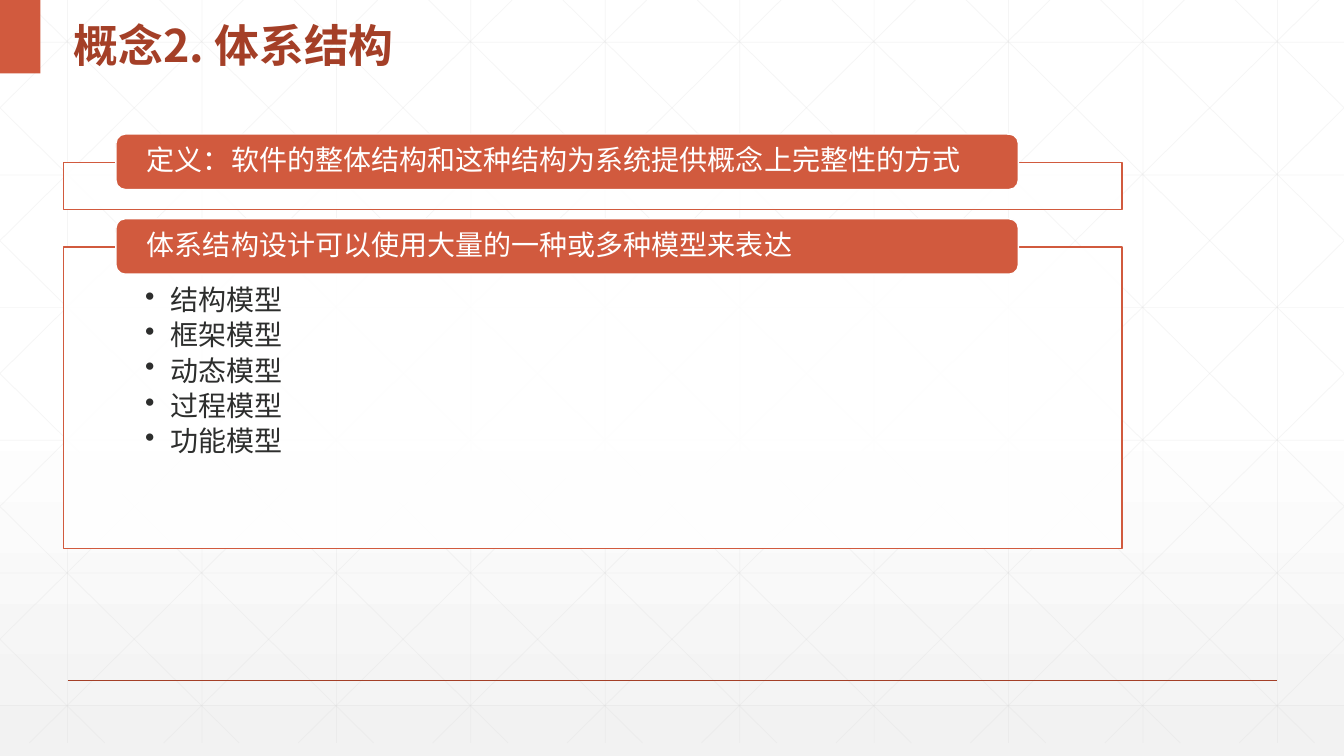
from lxml import etree
from pptx import Presentation
from pptx import util as u
from pptx.dml.color import RGBColor
from pptx.enum import shapes, text
from pptx.oxml.ns import qn

WIDTH, HEIGHT = 13.33, 7.5
COLORS = {
    "accent": "D15A3E",
    "dark": "A43F27",
    "grid": "D9D9D9",
    "white": "FFFFFF",
    "shade": "F2F2F2",
    "ink": "2D2E2D",
}
BODY_FONT, TITLE_FONT = "Arial", "Noto Sans CJK SC"
MODELS = ["结构模型", "框架模型", "动态模型", "过程模型", "功能模型"]


def rgb(name):
    """Return the named colour."""
    return RGBColor.from_string(COLORS[name])


def set_alpha(color_parent, percent):
    """Make the solid colour below an element partly transparent."""
    color = next(color_parent.iter(qn("a:srgbClr")))
    etree.SubElement(color, qn("a:alpha"), val=str(percent * 1000))


def add_rule(slide, start, end, color, width, opacity=100):
    """Draw a straight line between two points."""
    rule = slide.shapes.add_connector(
        shapes.MSO_CONNECTOR.STRAIGHT, *map(u.Inches, (*start, *end)))
    rule.line.color.rgb = rgb(color)
    rule.line.width = u.Pt(width)
    properties = rule._element.spPr
    if opacity < 100:
        set_alpha(properties, opacity)
    etree.SubElement(properties, qn("a:effectLst"))


def add_block(slide, kind, box, fill, outline=None):
    """Draw a filled preset shape with an optional outline."""
    block = slide.shapes.add_shape(kind, *map(u.Inches, box))
    block.shadow.inherit = False
    block.fill.solid()
    block.fill.fore_color.rgb = rgb(fill)
    if outline:
        block.line.color.rgb = rgb(outline)
        block.line.width = u.Pt(1)
    else:
        block.line.fill.background()
    return block


def set_frame(frame, insets, anchor):
    """Set wrapping, insets (left, top, right, bottom) and anchor."""
    frame.word_wrap = True
    frame.vertical_anchor = anchor
    (frame.margin_left, frame.margin_top,
     frame.margin_right, frame.margin_bottom) = map(u.Inches, insets)


def style_paragraph(paragraph, size, color, font, spacing, bold=False):
    """Format a left-aligned paragraph and its runs."""
    paragraph.alignment = text.PP_ALIGN.LEFT
    paragraph.line_spacing = spacing
    for run in paragraph.runs:
        run.font.size = u.Pt(size)
        run.font.bold = bold
        run.font.color.rgb = rgb(color)
        run.font.name = font


def add_background(slide, width, height):
    """Shade the page and cover it with a square and diagonal grid."""
    fill = slide.background.fill
    fill.gradient()
    fill.gradient_angle = 270
    for stop, position, color in zip(
            fill.gradient_stops, (0.53, 1), ("white", "shade")):
        stop.position = position
        stop.color.rgb = rgb(color)

    step_x, step_y, run = 4 / 3, 1.316, 7.455
    lines = []
    for column in range(10):
        x = 0.67 + column * step_x
        lines.append(((x, 0), (x, height)))
    for row in range(6):
        y = 0.42 + row * step_y
        lines.append(((0, y), (width, y)))
    for diagonal in range(-5, 10):
        x = 0.25 + diagonal * step_x
        ends = max(0, -x / run), min(1, (width - x) / run)
        points = [(x + run * t, height * t) for t in ends]
        lines.append(points)
        lines.append([(width - px, py) for px, py in points])
    for start, end in lines:
        add_rule(slide, start, end, "grid", 0.5, 25)


def add_header(slide, box, title):
    """Place the corner block and the slide title."""
    left, top, width, height = box
    add_block(slide, shapes.MSO_SHAPE.RECTANGLE,
              (left, top, 0.4, height), "accent")
    heading = slide.shapes.add_textbox(
        *map(u.Inches, (left + 0.63, top, width - 0.63, height)))
    frame = heading.text_frame
    frame.text = title
    set_frame(frame, (0.1, 0.05, 0.1, 0.05), text.MSO_ANCHOR.MIDDLE)
    paragraph = frame.paragraphs[0]
    style_paragraph(paragraph, 32, "dark", TITLE_FONT, 1.3, True)
    for run in paragraph.runs:
        etree.SubElement(run.font._element, qn("a:ea"), typeface=TITLE_FONT)


def add_card(slide, box, heading, items=()):
    """Draw an outlined panel with a heading tab and bulleted items."""
    left, top, width, height = box
    panel = add_block(slide, shapes.MSO_SHAPE.RECTANGLE, box,
                      "white", "accent")
    set_alpha(panel.fill._xPr.find(qn("a:solidFill")), 90)
    if items:
        frame = panel.text_frame
        frame.text = "\n".join(items)
        set_frame(frame, (0.81, 0.39, 0.81, 0.16), text.MSO_ANCHOR.TOP)
        for paragraph in frame.paragraphs:
            properties = paragraph._p.get_or_add_pPr()
            properties.set("marL", str(u.Inches(0.25)))
            properties.set("indent", str(u.Inches(-0.25)))
            etree.SubElement(properties, qn("a:buChar"), char="•")
            style_paragraph(paragraph, 20, "ink", BODY_FONT, 0.9)
            paragraph.space_after = u.Pt(3.6)

    tab = add_block(slide, shapes.MSO_SHAPE.ROUNDED_RECTANGLE,
                    (left + 0.52, top - 0.28, width - 1.55, 0.55),
                    "accent", "white")
    tab.text_frame.text = heading
    set_frame(tab.text_frame, (0.28, 0, 0.28, 0), text.MSO_ANCHOR.MIDDLE)
    style_paragraph(tab.text_frame.paragraphs[0], 20, "white", BODY_FONT, 0.9)


def main():
    """Build and save the slide."""
    deck = Presentation()
    deck.slide_width, deck.slide_height = u.Inches(WIDTH), u.Inches(HEIGHT)
    slide = deck.slides.add_slide(deck.slide_layouts[6])
    add_background(slide, WIDTH, 7.37)
    add_rule(slide, (0.67, 6.75), (12.67, 6.75), "dark", 1)
    add_header(slide, (0, 0, 6.32, 0.73), "概念2. 体系结构")
    add_card(slide, (0.63, 1.61, 10.5, 0.47),
             "定义：软件的整体结构和这种结构为系统提供概念上完整性的方式")
    add_card(slide, (0.63, 2.45, 10.5, 2.99),
             "体系结构设计可以使用大量的一种或多种模型来表达", MODELS)
    deck.save("out.pptx")


if __name__ == "__main__":
    main()
